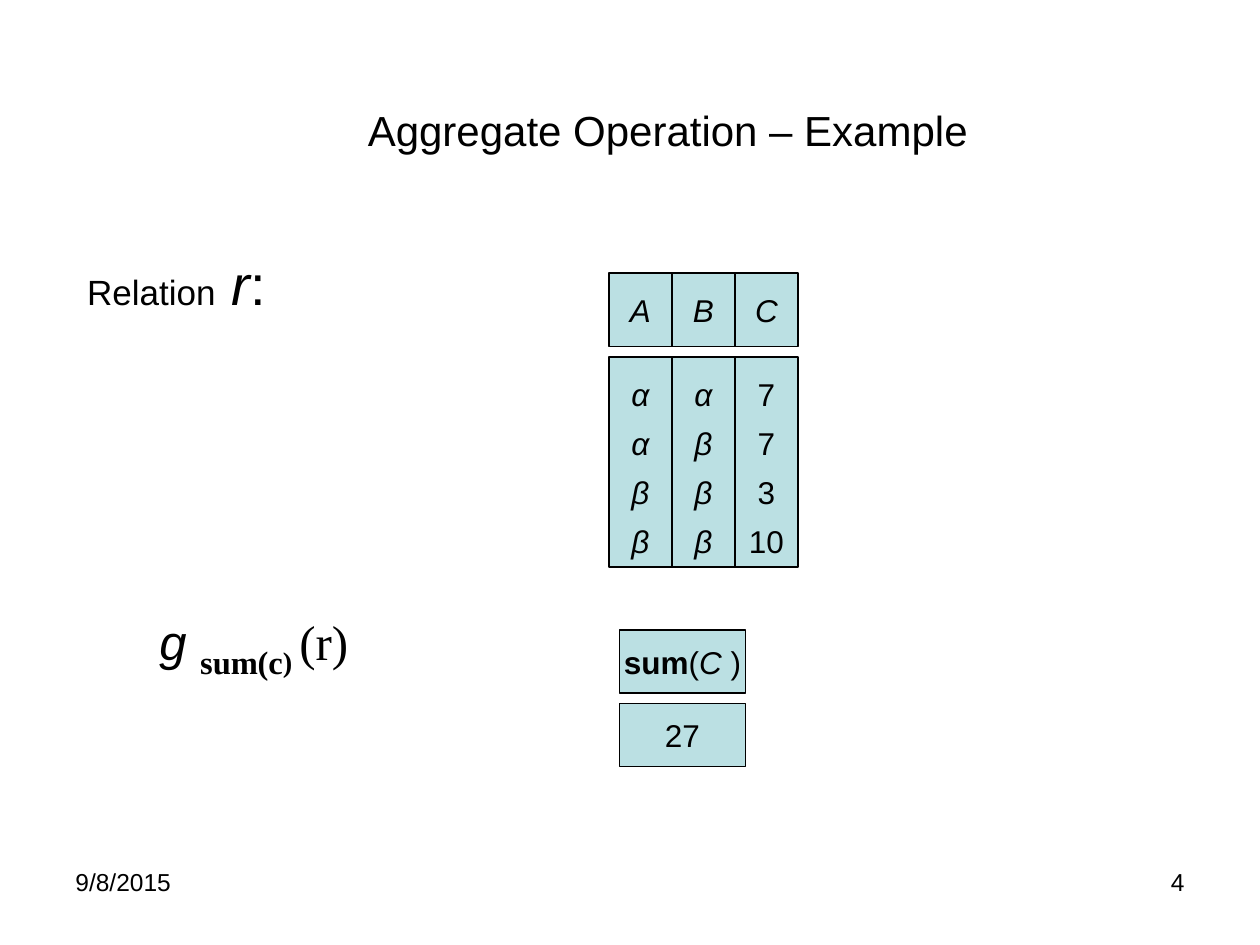
"""Build a slide showing an aggregate operation on a small relation."""
from lxml.etree import SubElement
from pptx import Presentation
from pptx.dml.color import RGBColor
from pptx.enum.shapes import MSO_SHAPE as Shape
from pptx.enum.text import MSO_ANCHOR as Anchor, MSO_AUTO_SIZE as AutoSize, PP_ALIGN as Align
from pptx.oxml.ns import qn
from pptx.util import Pt

PX = 7620
INK, CELL_FILL = "000000", "BBE0E3"


def color(hex_string):
    return RGBColor.from_string(hex_string)


def write(shape, lines, paragraph_format, frame_format):
    frame = shape.text_frame
    for name, value in frame_format.items():
        setattr(frame, name, value)
    for index, runs in enumerate(lines):
        paragraph = frame.add_paragraph() if index else frame.paragraphs[0]
        for name, value in paragraph_format.items():
            setattr(paragraph, name, value)
        for text, size, font_format in runs:
            run = paragraph.add_run()
            run.text = text
            run.font.size = Pt(size)
            run.font.color.rgb = color(INK)
            for name, value in {"name": "Arial", **font_format}.items():
                if name == "baseline":
                    run._r.get_or_add_rPr().set(name, str(value))
                else:
                    setattr(run.font, name, value)


presentation = Presentation()
presentation.slide_width, presentation.slide_height = 1200 * PX, 900 * PX
slide = presentation.slides.add_slide(presentation.slide_layouts[1])

italic, bold = {"italic": True}, {"bold": True}
serif = {"name": "Times New Roman"}
subscript = {**serif, **bold, "baseline": -25000}
top_text = {"word_wrap": True, "auto_size": AutoSize.NONE, "vertical_anchor": Anchor.TOP}
middle_text = {**top_text, "vertical_anchor": Anchor.MIDDLE}
cell_text = {**middle_text, "word_wrap": False}
centered = {"alignment": Align.CENTER}

title, body = slide.shapes.title, slide.placeholders[1]
for placeholder, box in ((title, (100, 30, 1072, 188)), (body, (71, 232, 376, 82))):
    for name, length in zip(("left", "top", "width", "height"), box):
        setattr(placeholder, name, length * PX)

write(title, [[("Aggregate Operation – Example", 24, {})]], centered, middle_text)
relation_runs = [("Relation", 20, {}), (" ", 32, {}), ("r", 32, italic), (":", 32, {})]
write(body, [relation_runs], {"space_before": Pt(8)}, top_text)
body_properties = body.text_frame.paragraphs[0]._p.get_or_add_pPr()
body_properties.set("marL", str(45 * PX))
body_properties.set("indent", str(-45 * PX))
SubElement(body_properties, qn("a:buNone"))

columns = [("A", "ααββ", italic), ("B", "αβββ", italic), ("C", ("7", "7", "3", "10"), {})]
relation_cells = []
for column, (heading, values, font_format) in enumerate(columns):
    left = 580 + 60 * column
    value_lines = [[(value, 18, font_format)] for value in values]
    relation_cells += [
        ((left, 260, 60, 70), [[(heading, 18, italic)]], centered),
        ((left, 340, 60, 200), value_lines, {**centered, "line_spacing": 1.3}),
    ]
sum_runs = [("sum", 18, bold), ("(", 18, {}), ("C ", 18, italic), (")", 18, {})]
result_cells = [
    ((590, 600, 120, 60), [sum_runs], centered),
    ((590, 670, 120, 60), [[("27", 18, {})]], centered),
]
for cells in (relation_cells, result_cells):
    group = slide.shapes.add_group_shape()
    for box, lines, paragraph_format in cells:
        cell = group.shapes.add_shape(Shape.RECTANGLE, *(length * PX for length in box))
        cell.shadow.inherit = False
        cell.fill.solid()
        cell.fill.fore_color.rgb = color(CELL_FILL)
        cell.line.color.rgb = color(INK)
        cell.line.width = Pt(0.75)
        write(cell, lines, paragraph_format, cell_text)

expression_runs = [
    ("g ", 28, italic),
    ("sum(c", 32, subscript),
    (") ", 28, subscript),
    ("(r)", 28, serif),
]
text_boxes = [
    ((140, 570, 316, 73), expression_runs, {"space_before": Pt(12.2)}),
    ((860, 820, 280, 62), [("4", 14, {})], {"alignment": Align.RIGHT}),
    ((60, 820, 280, 62), [("9/8/2015", 14, {})], {}),
]
for box, runs, paragraph_format in text_boxes:
    text_box = slide.shapes.add_textbox(*(length * PX for length in box))
    write(text_box, [runs], paragraph_format, top_text)

presentation.save("out.pptx")
